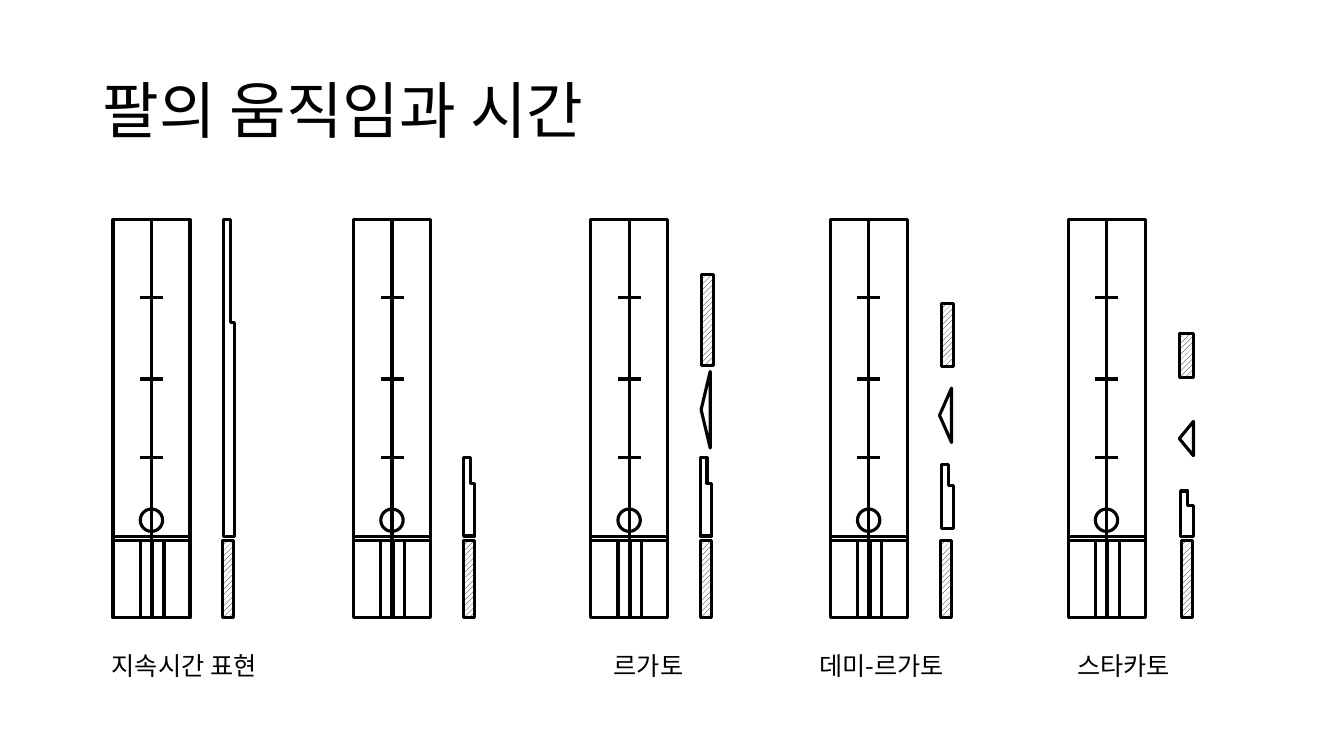
"""Builds the slide on arm movement and time."""
from typing import NamedTuple, Optional

from lxml.etree import SubElement
from pptx import Presentation
from pptx.dml.color import RGBColor
from pptx.enum.dml import MSO_PATTERN
from pptx.enum.shapes import MSO_CONNECTOR, MSO_SHAPE
from pptx.enum.text import MSO_ANCHOR, MSO_AUTO_SIZE, PP_ALIGN
from pptx.oxml.ns import qn
from pptx.util import Pt

COLORS = {"ink": "000000", "paper": "FFFFFF"}
FONT = "Noto Sans CJK KR"
STROKE = 2.25
TOWER_TOP, BASE_TOP, BAR_Y, TOWER_BOTTOM = 157, 383, 386, 441.4
HALF_WIDTH, LANE_WIDTH, LANE_OFFSETS = 27.5, 8, (19.5, 28.4)
RING_TOP, RING_SIZE = 363.6, 16
TICK_LEFT, TICK_RIGHT, TICK_YS = 19.4, 35.8, (327, 270.7, 212.4)
NOTCH_X, NOTCH_Y = 0.58, 0.325


class Box(NamedTuple):
    """A rectangle in points."""
    left: float
    top: float
    width: float
    height: float


class Caption(NamedTuple):
    """A label below a tower."""
    text: str
    left: float
    width: float


class Articulation(NamedTuple):
    """One tower with the duration marks beside it."""
    left: float
    foot_left: float
    step: Box
    caption: Optional[Caption] = None
    rebound: Optional[Box] = None
    upper: Optional[Box] = None


ARTICULATIONS = (
    Articulation(80.8, 159.1, Box(159.8, 157, 8, 226), Caption("지속시간 표현", 72.7, 130.3)),
    Articulation(252.6, 331.2, Box(331.2, 327, 8, 55.8)),
    Articulation(422, 500.4, Box(500.4, 327, 8, 55.8), Caption("르가토", 431.3, 69.1),
                 Box(500.8, 265.3, 6.5, 54.7), Box(501.1, 195.8, 8.6, 65.5)),
    Articulation(593.1, 671.8, Box(672.5, 331.9, 8.6, 45.4), Caption("데미-르가토", 578.2, 113),
                 Box(671.1, 277.2, 8.6, 38.9), Box(672.5, 216.7, 8.6, 45.4)),
    Articulation(763, 843.8, Box(843.3, 350.7, 9, 32.3), Caption("스타카토", 762.5, 87.1),
                 Box(842.4, 301, 10.1, 24.5), Box(842.4, 238.3, 10.1, 31.7)),
)


def rgb(name: str) -> RGBColor:
    """Return a named colour."""
    return RGBColor.from_string(COLORS[name])


def outline(shape) -> None:
    """Give a shape the common black outline without shadow."""
    shape.shadow.inherit = False
    shape.line.color.rgb = rgb("ink")
    shape.line.width = Pt(STROKE)


def paint(shape) -> None:
    """Fill a shape with paper white and outline it."""
    shape.fill.solid()
    shape.fill.fore_color.rgb = rgb("paper")
    outline(shape)


def draw_panel(shapes, box: Box) -> None:
    """Draw a white rectangle."""
    paint(shapes.add_shape(MSO_SHAPE.RECTANGLE, *map(Pt, box)))


def draw_hatched(shapes, box: Box) -> None:
    """Draw a rectangle with diagonal hatching."""
    strip = shapes.add_shape(MSO_SHAPE.RECTANGLE, *map(Pt, box))
    strip.fill.patterned()
    strip.fill.pattern = MSO_PATTERN.WIDE_UPWARD_DIAGONAL
    strip.fill.fore_color.rgb = rgb("ink")
    strip.fill.back_color.rgb = rgb("paper")
    outline(strip)


def draw_level(shapes, left: float, right: float, y: float) -> None:
    """Draw a horizontal line."""
    level = shapes.add_connector(MSO_CONNECTOR.STRAIGHT, Pt(left), Pt(y), Pt(right), Pt(y))
    level.line.color.rgb = rgb("ink")
    level.line.width = Pt(STROKE)
    SubElement(level._element.spPr, qn("a:effectLst"))


def draw_tower(shapes, left: float) -> None:
    """Draw a tower with its base lanes, ring and ticks."""
    tower = shapes.add_group_shape().shapes
    for top, bottom in ((BASE_TOP, TOWER_BOTTOM), (TOWER_TOP, BASE_TOP)):
        for half in range(2):
            draw_panel(tower, Box(left + half * HALF_WIDTH, top, HALF_WIDTH, bottom - top))
    draw_level(tower, left, left + 2 * HALF_WIDTH, BAR_Y)
    for offset in LANE_OFFSETS:
        draw_panel(shapes, Box(left + offset, BAR_Y, LANE_WIDTH, TOWER_BOTTOM - BAR_Y))
    ring = shapes.add_shape(MSO_SHAPE.OVAL, Pt(left + TICK_LEFT), Pt(RING_TOP),
                            Pt(RING_SIZE), Pt(RING_SIZE))
    ring.fill.background()
    outline(ring)
    for y in TICK_YS:
        draw_level(shapes, left + TICK_LEFT, left + TICK_RIGHT, y)


def draw_step(shapes, box: Box) -> None:
    """Draw a bar whose upper right corner is notched."""
    left, top, width, height = box
    right, bottom = left + width, top + height
    notch_x, notch_y = left + NOTCH_X * width, top + NOTCH_Y * height
    builder = shapes.build_freeform(Pt(notch_x), Pt(top))
    corners = ((left, top), (left, bottom), (right, bottom), (right, notch_y), (notch_x, notch_y))
    builder.add_line_segments([(Pt(x), Pt(y)) for x, y in corners], close=True)
    paint(builder.convert_to_shape())


def draw_rebound(shapes, box: Box) -> None:
    """Draw a triangle pointing left inside the given box."""
    left, top, width, height = box
    shift = (height - width) / 2
    rebound = shapes.add_shape(MSO_SHAPE.ISOSCELES_TRIANGLE, Pt(left - shift), Pt(top + shift),
                               Pt(height), Pt(width))
    rebound.rotation = 270
    paint(rebound)


def format_text(paragraph, size: float) -> None:
    """Set the font of every run for Latin and Korean letters."""
    for run in paragraph.runs:
        run.font.size = Pt(size)
        run.font.name = FONT
        run.font.color.rgb = rgb("ink")
        SubElement(run.font._element, qn("a:ea")).set("typeface", FONT)


def write_caption(shapes, caption: Caption) -> None:
    """Write the label below a tower."""
    label = shapes.add_textbox(Pt(caption.left), Pt(460.8), Pt(caption.width), Pt(29))
    frame = label.text_frame
    frame.text = caption.text
    frame.word_wrap = False
    frame.auto_size = MSO_AUTO_SIZE.SHAPE_TO_FIT_TEXT
    format_text(frame.paragraphs[0], 18)


def write_title(title) -> None:
    """Place and write the slide title."""
    title.left, title.top, title.width, title.height = map(Pt, (66, 28.8, 828, 104.4))
    frame = title.text_frame
    frame.text = "팔의 움직임과 시간"
    frame.vertical_anchor = MSO_ANCHOR.MIDDLE
    heading = frame.paragraphs[0]
    heading.alignment = PP_ALIGN.LEFT
    heading.line_spacing = 0.9
    format_text(heading, 44)


def main() -> None:
    """Build and save the presentation."""
    deck = Presentation()
    deck.slide_width, deck.slide_height = Pt(960), Pt(540)
    shapes = deck.slides.add_slide(deck.slide_layouts[5]).shapes
    write_title(shapes.title)
    for articulation in ARTICULATIONS:
        draw_tower(shapes, articulation.left)
        draw_hatched(shapes, Box(articulation.foot_left, BAR_Y, LANE_WIDTH, TOWER_BOTTOM - BAR_Y))
        draw_step(shapes, articulation.step)
        if articulation.rebound:
            draw_rebound(shapes, articulation.rebound)
        if articulation.upper:
            draw_hatched(shapes, articulation.upper)
        if articulation.caption:
            write_caption(shapes, articulation.caption)
    deck.save("out.pptx")


if __name__ == "__main__":
    main()
